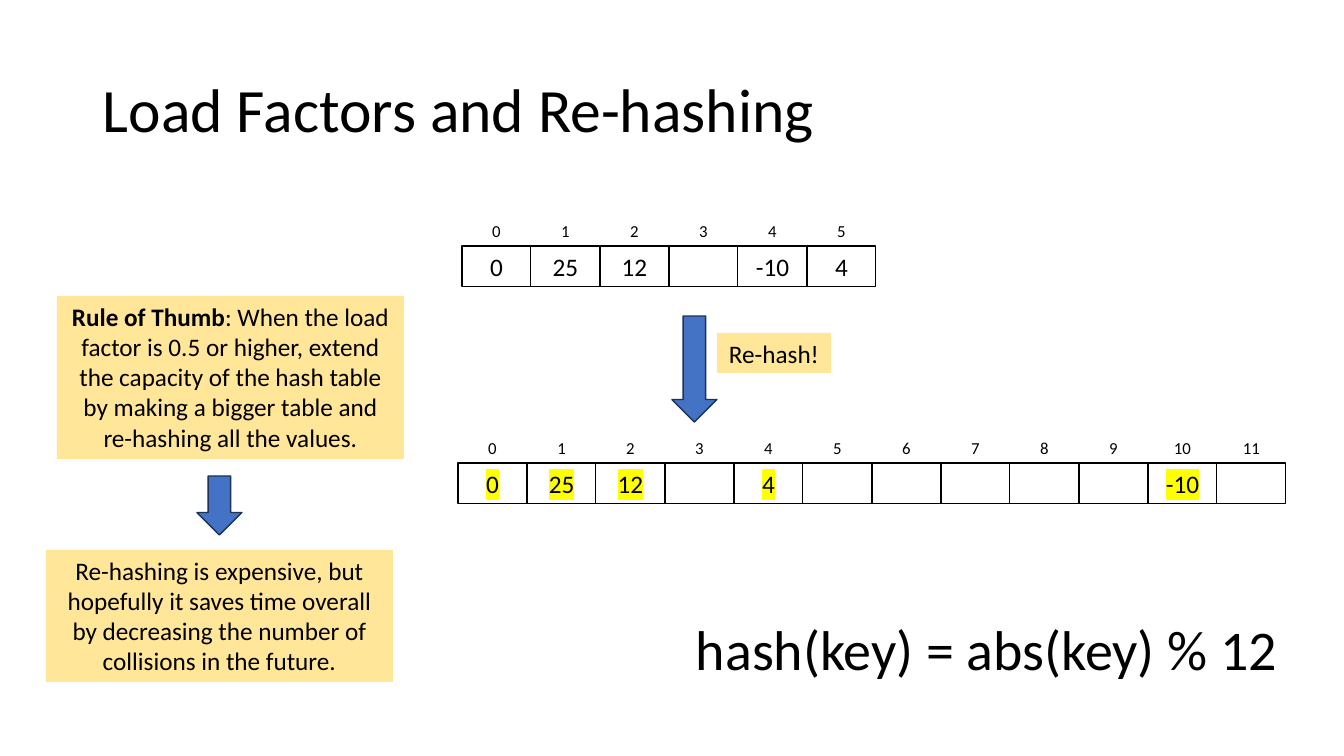
from lxml.etree import SubElement
from pptx import Presentation
from pptx.dml.color import RGBColor
from pptx.enum.shapes import MSO_SHAPE as Preset
from pptx.enum.text import MSO_ANCHOR as Anchor, MSO_AUTO_SIZE as AutoSize, PP_ALIGN as Align
from pptx.oxml.ns import qn
from pptx.util import Emu, Pt

EMU_PER_PX = 914400 / 100.8
CELL_WIDTH, CELL_HEIGHT, INDEX_HEIGHT = 69, 41, 30
BLACK, CREAM, BLUE, NAVY, YELLOW = "000000", "FFE699", "4472C4", "1E3256", "FFFF00"


def px(length):
    return Emu(round(length * EMU_PER_PX))


def box(*lengths):
    return [px(length) for length in lengths]


def color(hex_code):
    return RGBColor.from_string(hex_code)


def highlight(run, hex_code):
    fill = run.font._element.find(qn("a:solidFill"))
    mark = SubElement(run.font._element, qn("a:highlight"))
    SubElement(mark, qn("a:srgbClr"), val=hex_code)
    fill.addnext(mark)


def write(holder, pieces, size, align=Align.CENTER, anchor=Anchor.TOP, wrap=True,
          grow=True, marker=None):
    frame = holder.text_frame
    layout = {"word_wrap": wrap, "vertical_anchor": anchor,
              "auto_size": AutoSize.SHAPE_TO_FIT_TEXT if grow else AutoSize.NONE}
    for name, value in layout.items():
        setattr(frame, name, value)
    line = frame.paragraphs[0]
    line.alignment = align
    for text, bold in pieces:
        run = line.add_run()
        run.text = text
        for name, value in {"size": Pt(size), "name": "Calibri", "bold": bold}.items():
            setattr(run.font, name, value)
        run.font.color.rgb = color(BLACK)
        if marker:
            highlight(run, marker)
    return line


def add_preset(shapes, preset, place, fill=None, outline=None, weight=1):
    shape = shapes.add_shape(preset, *box(*place))
    shape.shadow.inherit = False
    if fill:
        shape.fill.solid()
        shape.fill.fore_color.rgb = color(fill)
    else:
        shape.fill.background()
    if outline:
        shape.line.color.rgb = color(outline)
        shape.line.width = Pt(weight)
    else:
        shape.line.fill.background()
    return shape


def add_label(shapes, place, text, size, **options):
    return write(shapes.add_textbox(*box(*place)), [(text, False)], size, **options)


def add_note(shapes, place, *pieces):
    write(add_preset(shapes, Preset.RECTANGLE, place, CREAM), pieces, 18)


def add_arrow(shapes, place):
    add_preset(shapes, Preset.DOWN_ARROW, place, BLUE, NAVY)


def add_hash_table(shapes, left, top, values, marker=None):
    for index, value in enumerate(values):
        x = left + index * CELL_WIDTH
        slot = shapes.add_group_shape().shapes
        cell = add_preset(slot, Preset.RECTANGLE, (x, top, CELL_WIDTH, CELL_HEIGHT),
                          outline=BLACK, weight=0.75)
        if value is not None:
            write(cell, [(str(value), False)], 18, marker=marker)
        add_label(slot, (x, top - INDEX_HEIGHT, CELL_WIDTH, INDEX_HEIGHT), str(index), 12)


def main():
    deck = Presentation()
    deck.slide_width, deck.slide_height = box(1344, 756)
    shapes = deck.slides.add_slide(deck.slide_layouts[6]).shapes

    title = add_label(shapes, (93, 40, 739, 146), "Load Factors and Re-hashing", 44,
                      align=Align.LEFT, anchor=Anchor.MIDDLE, grow=False)
    title.line_spacing = 0.9

    add_hash_table(shapes, 462, 246, [0, 25, 12, None, -10, 4])
    add_note(shapes, (57, 296, 347, 163), ("Rule of Thumb", True),
             (": When the load factor is 0.5 or higher, extend the capacity of the hash table "
              "by making a bigger table and re-hashing all the values.", False))
    add_arrow(shapes, (197, 476, 45, 59))
    add_note(shapes, (46, 550, 347, 132),
             ("Re-hashing is expensive, but hopefully it saves time overall by decreasing "
              "the number of collisions in the future.", False))

    rehashed = {0: 0, 1: 25, 2: 12, 4: 4, 10: -10}
    add_hash_table(shapes, 458, 463, [rehashed.get(index) for index in range(12)], YELLOW)
    add_label(shapes, (686, 610, 607, 78), "hash(key) = abs(key) % 12", 40,
              align=Align.LEFT, wrap=False)
    add_arrow(shapes, (672, 316, 45, 106))
    add_note(shapes, (717, 333, 114, 40), ("Re-hash!", False))

    deck.save("out.pptx")


if __name__ == "__main__":
    main()
